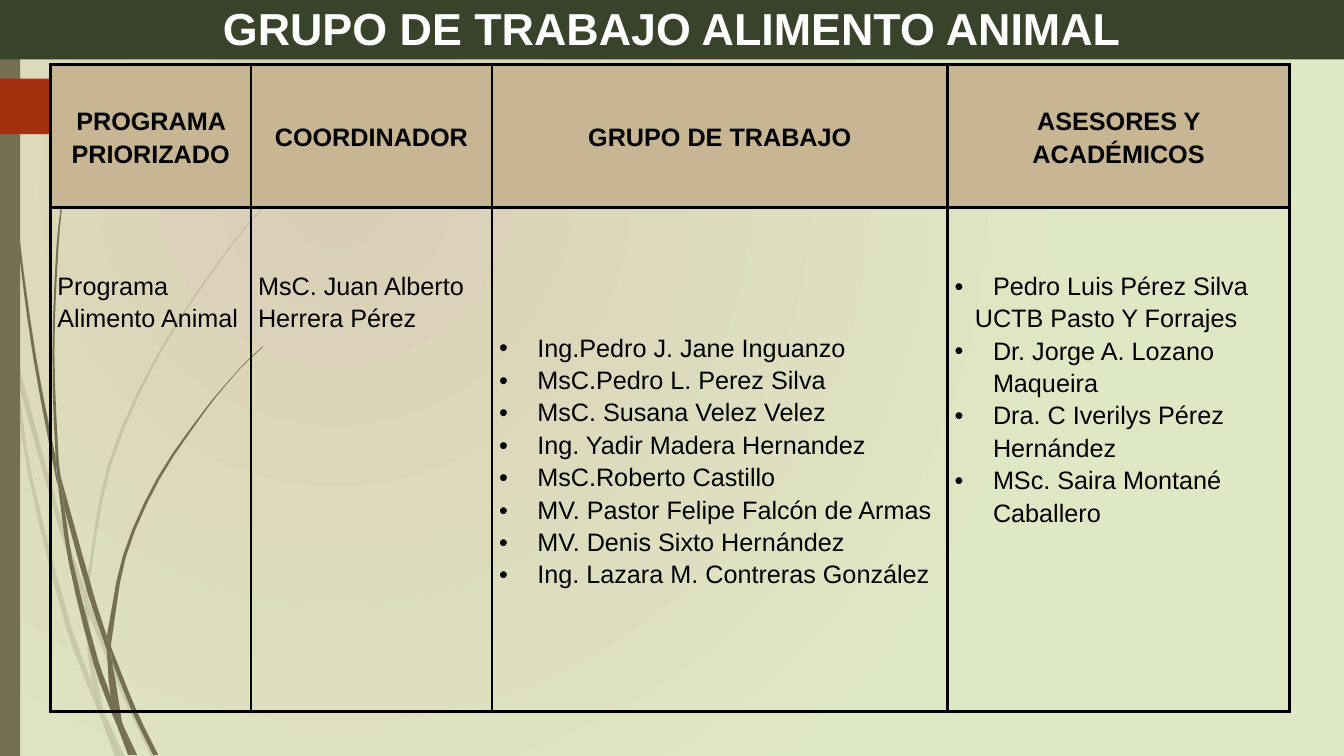
from itertools import product
from math import dist

from lxml.etree import SubElement
from pptx import Presentation
from pptx.dml.color import RGBColor
from pptx.enum.shapes import MSO_SHAPE
from pptx.enum.text import MSO_ANCHOR, PP_ALIGN
from pptx.oxml import parse_xml
from pptx.oxml.ns import nsdecls, qn
from pptx.util import Inches, Pt

WIDTH, HEIGHT = 13.33, 7.5
COLORS = {"stem": "766F54", "tag": "A53010", "banner": "39432A", "header": "C8B594",
          "ink": "000000", "white": "FFFFFF", "glow": "DBCEB7", "edge": "DFE8C4"}

PALE_STEMS = [
    ([(.11, 3.5), (.09, 3.22), (0, 2.82)], [(0, 2.99), (.1, 3.44)]),
    ([(.14, 3.45), (.62, 5.2), (.85, 5.86)], [(.84, 5.99), (.58, 5.22), (.17, 3.76)]),
    ([(.88, 5.96), (.92, 6.07), (1.27, 6.92), (1.55, 7.51)], [(1.5, 7.51), (1.23, 6.94), (.88, 6.1)]),
    ([(1.19, 7.51), (1.05, 7.11)], [(1.05, 7.11), (1.24, 7.51)]),
    ([(.11, 3.5), (.17, 3.76), (.31, 4.69), (.7, 6.19), (.93, 6.83), (1.01, 7.14)],
     [(1.01, 7.14), (.92, 6.93), (.65, 6.21), (.28, 4.7), (.11, 3.5)]),
    ([(.84, 5.99), (.87, 6.46), (.93, 6.83), (1.05, 7.11)], [(1.03, 7.06), (.91, 6.46), (.88, 6.08)]),
    ([(3.12, 1.53), (2.89, 1.75), (2.68, 1.97), (2.28, 2.44), (1.58, 3.48), (1.07, 4.61), (.85, 5.84)],
     [(.88, 5.96), (.88, 5.84), (1.1, 4.62), (1.6, 3.49), (2.29, 2.45), (2.68, 1.98), (2.9, 1.75), (3.12, 1.54)]),
    ([(1.01, 7.14), (1.14, 7.51)], [(1.19, 7.51), (1.01, 7.14)]),
    ([(.88, 6.1), (.88, 5.96)], [(.85, 5.86), (.84, 5.99), (.88, 6.08)]),
    ([(.93, 6.83), (1.01, 7.14), (1.19, 7.51)], [(1.19, 7.51), (1.05, 7.11), (.96, 6.92)]),
]
DARK_STEMS = [
    ([(.04, 0), (.05, .48), (.08, 1.09), (.19, 2.32), (.36, 3.55), (.55, 4.53)],
     [(.57, 4.81), (.56, 4.77), (.33, 3.55), (.17, 2.33), (.07, 1.1), (.04, .48), (.03, 0)]),
    ([(.6, 4.72), (.93, 5.9), (1.06, 6.31)], [(1.06, 6.45), (.88, 5.92), (.64, 5.05)]),
    ([(1.1, 6.41), (1.13, 6.49), (1.36, 7.06), (1.57, 7.49)], [(1.52, 7.49), (1.32, 7.08), (1.11, 6.56)]),
    ([(.57, 4.77), (.64, 5.05), (.72, 5.56), (.98, 6.57), (1.1, 6.91), (1.17, 7.22)],
     [(1.17, 7.22), (1.11, 7.08), (.93, 6.59), (.68, 5.57), (.57, 4.77)]),
    ([(.7, 1.41), (.63, 1.93), (.58, 2.45), (.54, 3.49), (.58, 4.53), (.6, 4.72)],
     [(.6, 4.72), (.55, 4.49), (.52, 3.49), (.56, 2.45), (.62, 1.93), (.7, 1.41)]),
    ([(1.33, 7.49), (1.22, 7.19)], [(1.22, 7.19), (1.36, 7.49)]),
    ([(.57, 4.77), (.64, 5.05)], [(.6, 4.72), (.55, 4.49), (.55, 4.53)]),
    ([(2.6, 3.44), (2.45, 3.58), (2.31, 3.73), (2.04, 4.05), (1.56, 4.74), (1.22, 5.51), (1.06, 6.31)],
     [(1.1, 6.41), (1.11, 6.33), (1.25, 5.52), (1.58, 4.76), (2.05, 4.06), (2.31, 3.74), (2.45, 3.59),
      (2.61, 3.44)]),
    ([(1.17, 7.22), (1.27, 7.49)], [(1.31, 7.49), (1.17, 7.22)]),
    ([(1.06, 6.45), (1.1, 6.91), (1.22, 7.19)], [(1.21, 7.16), (1.11, 6.56), (1.06, 6.45)]),
    ([(1.06, 6.45), (1.11, 6.56)], [(1.1, 6.41), (1.06, 6.31)]),
    ([(1.1, 6.91), (1.17, 7.22), (1.3, 7.49)], [(1.33, 7.49), (1.22, 7.19), (1.16, 7.06)]),
]

HEADINGS = ["PROGRAMA PRIORIZADO", "COORDINADOR", "GRUPO DE TRABAJO", "ASESORES Y ACADÉMICOS"]
WORK_GROUP = ["Ing.Pedro J. Jane Inguanzo", "MsC.Pedro L. Perez Silva", "MsC. Susana Velez Velez",
              "Ing. Yadir Madera Hernandez", "MsC.Roberto Castillo", "MV. Pastor Felipe Falcón de Armas",
              "MV. Denis Sixto Hernández", "Ing. Lazara M. Contreras González"]
INSTITUTION = "UCTB Pasto Y Forrajes"
ADVISERS = ["Pedro Luis Pérez Silva", INSTITUTION, "Dr. Jorge A. Lozano Maqueira",
            "Dra. C Iverilys Pérez Hernández", "MSc. Saira Montané Caballero"]


def rgb(name):
    """Return the named palette colour."""
    return RGBColor.from_string(COLORS[name])


def apply(target, **values):
    """Set each format value on the target."""
    for key, value in values.items():
        setattr(target, key, value)


def paint(shape, color, alpha=None):
    """Give a shape a flat fill, no line and no shadow."""
    shape.shadow.inherit = False
    shape.line.fill.background()
    shape.fill.solid()
    shape.fill.fore_color.rgb = rgb(color)
    if alpha:
        tint = shape.fill._xPr.find(".//" + qn("a:srgbClr"))
        SubElement(tint, qn("a:alpha"), val=str(alpha * 1000))


def smooth_edge(points, steps=3):
    """Return a smooth curve through the points, in EMU."""
    last = len(points) - 1
    slopes = []
    for i in range(last + 1):
        before, after = max(i - 1, 0), min(i + 1, last)
        length = sum(dist(points[j], points[j + 1]) for j in range(before, after))
        slopes.append([(b - a) / length for a, b in zip(points[before], points[after])])
    curve = [points[0]]
    for i, step in product(range(last), range(1, steps + 1)):
        t, span = step / steps, dist(points[i], points[i + 1])
        weights = (2*t**3 - 3*t**2 + 1, 3*t**2 - 2*t**3, (t**3 - 2*t**2 + t) * span, (t**3 - t**2) * span)
        ends = zip(points[i], points[i + 1], slopes[i], slopes[i + 1])
        curve.append(tuple(sum(w * v for w, v in zip(weights, axis)) for axis in ends))
    return [(Inches(x), Inches(y)) for x, y in curve]


def add_stems(slide, stems, alpha=None):
    """Draw pieces of grass, each bounded by two smooth edges."""
    for down, up in stems:
        outline = smooth_edge(down) + smooth_edge(up)
        builder = slide.shapes.build_freeform(*outline[0], scale=1.0)
        builder.add_line_segments(outline[1:], close=True)
        paint(builder.convert_to_shape(), "stem", alpha)


def add_backdrop(slide):
    """Draw the radial background, the stems, the side strip and the tag."""
    slide.background.fill.solid()
    flat = slide.element.xpath(".//p:bgPr/a:solidFill")[0]
    stops = "".join(f'<a:gs pos="{pos}"><a:srgbClr val="{COLORS[name]}"/></a:gs>'
                    for pos, name in ((0, "glow"), (100000, "edge")))
    flat.getparent().replace(flat, parse_xml(
        f'<a:gradFill {nsdecls("a")} rotWithShape="1"><a:gsLst>{stops}</a:gsLst><a:path path="circle">'
        '<a:fillToRect l="50000" t="50000" r="100000" b="100000"/></a:path></a:gradFill>'))
    add_stems(slide, PALE_STEMS, 20)
    add_stems(slide, DARK_STEMS)
    for preset, box, color in ((MSO_SHAPE.RECTANGLE, (0, 0, .2, HEIGHT), "stem"),
                               (MSO_SHAPE.PENTAGON, (0, .78, 1.74, .55), "tag")):
        paint(slide.shapes.add_shape(preset, *map(Inches, box)), color)


def add_banner(slide, left, top, width, height):
    """Turn the title placeholder into the banner above the table."""
    title = slide.shapes.title
    slide.shapes._spTree.append(title._element)
    apply(title, left=Inches(left), top=Inches(top), width=Inches(width), height=Inches(height))
    title.fill.solid()
    title.fill.fore_color.rgb = rgb("banner")
    title.text_frame.text = "GRUPO DE TRABAJO ALIMENTO ANIMAL"
    apply(title.text_frame, vertical_anchor=MSO_ANCHOR.MIDDLE, word_wrap=True)
    heading = title.text_frame.paragraphs[0]
    heading.alignment = PP_ALIGN.CENTER
    apply(heading.font, name="Arial", size=Pt(32), bold=True)
    heading.font.color.rgb = rgb("white")


def set_borders(cell):
    """Outline a cell in black on all four sides."""
    properties = cell._tc.get_or_add_tcPr()
    for i, side in enumerate("LRTB"):
        properties.insert(i, parse_xml(
            f'<a:ln{side} {nsdecls("a")} w="{Pt(2.25)}"><a:solidFill>'
            f'<a:srgbClr val="{COLORS["ink"]}"/></a:solidFill></a:ln{side}>'))


def fill_cell(cell, lines, align, bold=False, bullets=False, middle=True):
    """Write the lines of a cell, bulleted when asked."""
    apply(cell, margin_left=Inches(.07), margin_right=Inches(.07), margin_bottom=0,
          margin_top=0 if middle else Inches(.6),
          vertical_anchor=MSO_ANCHOR.MIDDLE if middle else MSO_ANCHOR.TOP)
    cell.text = "\n".join(lines)
    for line, paragraph in zip(lines, cell.text_frame.paragraphs):
        apply(paragraph, alignment=align, line_spacing=1.15)
        properties = paragraph._p.get_or_add_pPr()
        if line == INSTITUTION:
            properties.set("marL", str(Inches(.2)))
        elif bullets:
            properties.set("marL", str(Inches(.38)))
            properties.set("indent", str(-Inches(.38)))
            SubElement(properties, qn("a:buFont"), typeface="Arial")
            SubElement(properties, qn("a:buChar"), char="•")
        apply(paragraph.runs[0].font, name="Arial", size=Pt(18), bold=bold)
        paragraph.runs[0].font.color.rgb = rgb("ink")


def add_group_table(slide, left, top, columns, rows):
    """Place the table of programme, coordinator, work group and advisers."""
    box = map(Inches, (left, top, sum(columns), sum(rows)))
    table = slide.shapes.add_table(len(rows), len(columns), *box).table
    apply(table, first_row=False, horz_banding=False)
    for tracks, sizes, side in ((table.columns, columns, "width"), (table.rows, rows, "height")):
        for track, size in zip(tracks, sizes):
            apply(track, **{side: Inches(size)})
    details = [(["Programa Alimento Animal"], PP_ALIGN.LEFT, False, False),
               (["MsC. Juan Alberto Herrera Pérez"], PP_ALIGN.LEFT, False, False),
               (WORK_GROUP, PP_ALIGN.JUSTIFY, True, True),
               (ADVISERS, PP_ALIGN.LEFT, True, False)]
    for i, (heading, (lines, align, bullets, middle)) in enumerate(zip(HEADINGS, details)):
        header, body = table.cell(0, i), table.cell(1, i)
        fill_cell(header, [heading], PP_ALIGN.CENTER, bold=True)
        header.fill.solid()
        header.fill.fore_color.rgb = rgb("header")
        fill_cell(body, lines, align, bullets=bullets, middle=middle)
        body.fill.background()
    for cell in table.iter_cells():
        set_borders(cell)


deck = Presentation()
apply(deck, slide_width=Inches(WIDTH), slide_height=Inches(HEIGHT))
group_slide = deck.slides.add_slide(deck.slide_layouts[5])
add_backdrop(group_slide)
add_banner(group_slide, 0, -.05, WIDTH, .64)
add_group_table(group_slide, .5, .64, [1.99, 2.39, 4.52, 3.39], [1.42, 5])
deck.save("out.pptx")
